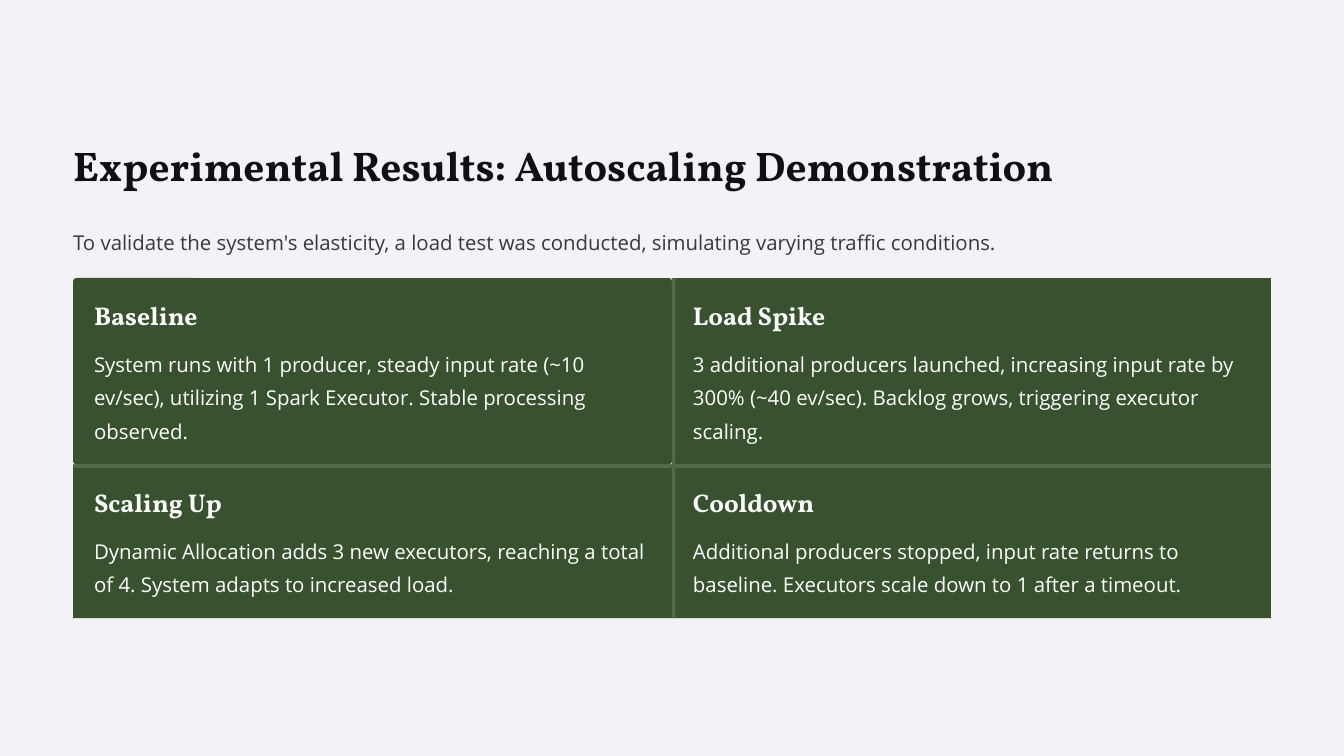
from dataclasses import dataclass

from pptx import Presentation
from pptx.dml.color import RGBColor
from pptx.enum.shapes import MSO_SHAPE
from pptx.enum.text import MSO_ANCHOR, MSO_AUTO_SIZE, PP_ALIGN
from pptx.util import Inches, Pt


@dataclass(frozen=True)
class Style:
    font: str
    size: float
    color: str
    line: float
    bold: bool = False


@dataclass(frozen=True)
class Theme:
    back: str = "F3F3F7"
    frame: str = "E0E0EC"
    card: str = "38512F"
    rule: str = "516A48"
    title: Style = Style("Vollkorn", 35.5, "101014", 44.5, True)
    intro: Style = Style("Open Sans", 17.5, "39393C", 28.5)
    head: Style = Style("Vollkorn", 22, "FFFFFF", 27.5, True)
    body: Style = Style("Open Sans", 17.5, "FFFFFF", 28.5)


THEME = Theme()

# Grid, in inches
LEFT, TOP = 0.87, 3.31
WIDTH = 7.13
HEIGHTS = (2.22, 1.83)
PAD = 0.25
RULE = 0.04

CARDS = (
    (
        ("Baseline",
         "System runs with 1 producer, steady input rate (~10 ev/sec), "
         "utilizing 1 Spark Executor. Stable processing observed."),
        ("Load Spike",
         "3 additional producers launched, increasing input rate by 300% "
         "(~40 ev/sec). Backlog grows, triggering executor scaling."),
    ),
    (
        ("Scaling Up",
         "Dynamic Allocation adds 3 new executors, reaching a total of 4. "
         "System adapts to increased load."),
        ("Cooldown",
         "Additional producers stopped, input rate returns to baseline. "
         "Executors scale down to 1 after a timeout."),
    ),
)


def write(shape, text, style, wrap):
    frame = shape.text_frame
    frame.margin_left = frame.margin_right = 0
    frame.margin_top = frame.margin_bottom = 0
    frame.word_wrap = wrap
    frame.auto_size = MSO_AUTO_SIZE.NONE
    frame.vertical_anchor = MSO_ANCHOR.TOP
    para = frame.paragraphs[0]
    para.alignment = PP_ALIGN.LEFT
    para.line_spacing = Pt(style.line)
    run = para.add_run()
    run.text = text
    run.font.name = style.font
    run.font.size = Pt(style.size)
    run.font.bold = style.bold
    run.font.color.rgb = RGBColor.from_string(style.color)


def add_title(slide, text):
    title = slide.shapes.title
    title.left, title.top = Inches(LEFT), Inches(1.64)
    title.width, title.height = Inches(11.8), Inches(0.62)
    write(title, text, THEME.title, True)


def add_text(slide, box, text, style, wrap=False):
    shape = slide.shapes.add_textbox(*map(Inches, box))
    write(shape, text, style, wrap)


def add_box(slide, box, color, round=0):
    kind = MSO_SHAPE.ROUNDED_RECTANGLE if round else MSO_SHAPE.RECTANGLE
    shape = slide.shapes.add_shape(kind, *map(Inches, box))
    if round:
        shape.adjustments[0] = round
    shape.shadow.inherit = False
    shape.fill.solid()
    shape.fill.fore_color.rgb = RGBColor.from_string(color)
    shape.line.fill.background()


def add_card(slide, row, col, head, body):
    left = LEFT + col * WIDTH
    top = TOP + sum(HEIGHTS[:row])
    high = HEIGHTS[row]
    first = row == col == 0
    add_box(slide, (left, top, WIDTH, high), THEME.card, 0.02 if first else 0)
    # Dividers on the inner edges
    if col:
        add_box(slide, (left, top, RULE, high), THEME.rule, 0.5)
    if row:
        add_box(slide, (left, top, WIDTH, RULE), THEME.rule, 0.5)
    # Heading and description
    inner = left + PAD
    add_text(slide, (inner, top + PAD, 3.1, 0.39), head, THEME.head)
    add_text(slide, (inner, top + 0.78, 6.64, high - 1.03), body,
             THEME.body, True)


def main():
    deck = Presentation()
    deck.slide_width, deck.slide_height = Inches(16), Inches(9)
    slide = deck.slides.add_slide(deck.slide_layouts[5])
    fill = slide.background.fill
    fill.solid()
    fill.fore_color.rgb = RGBColor.from_string(THEME.back)

    # Title and introduction
    add_title(slide, "Experimental Results: Autoscaling Demonstration")
    add_text(slide, (LEFT, 2.63, 2 * WIDTH, 0.4),
             "To validate the system's elasticity, a load test was conducted, "
             "simulating varying traffic conditions.", THEME.intro)

    # Frame and cards
    add_box(slide, (LEFT, TOP, 2 * WIDTH, sum(HEIGHTS)), THEME.frame, 0.01)
    for row, cards in enumerate(CARDS):
        for col, (head, body) in enumerate(cards):
            add_card(slide, row, col, head, body)

    deck.save("out.pptx")


if __name__ == "__main__":
    main()
